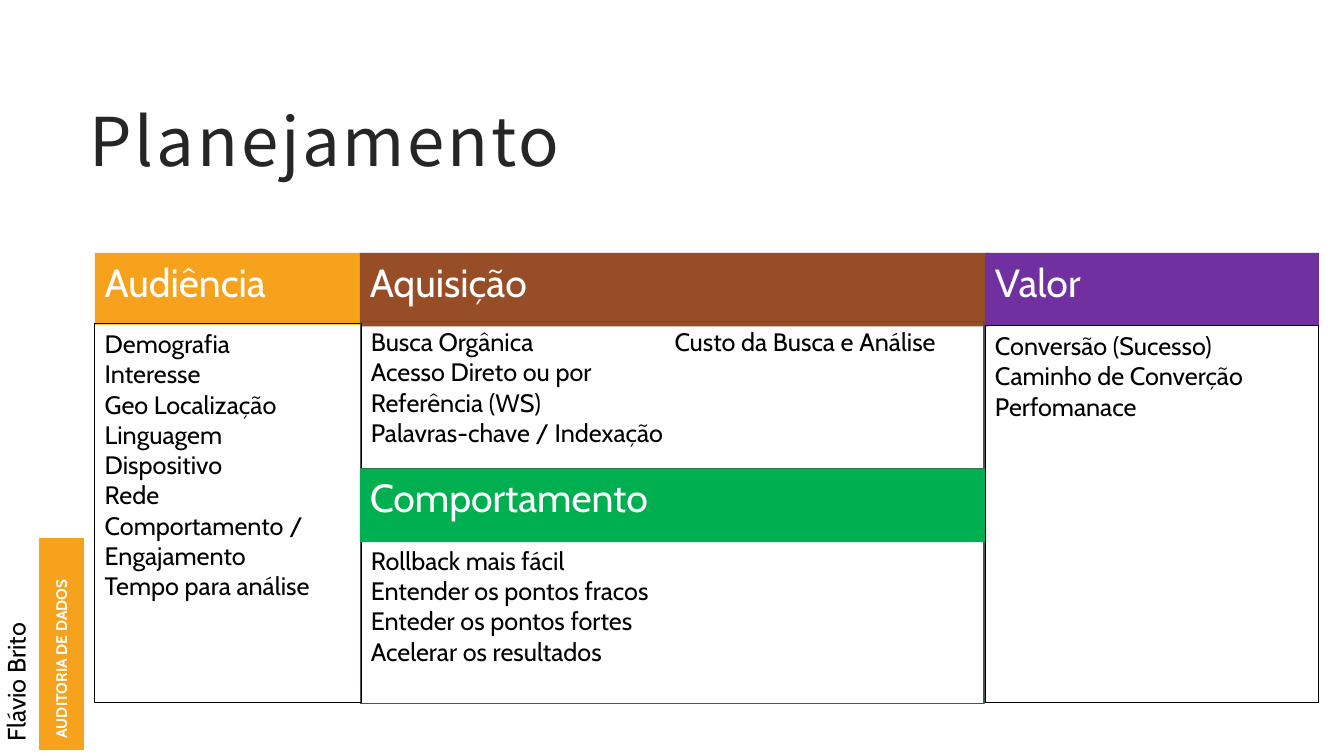
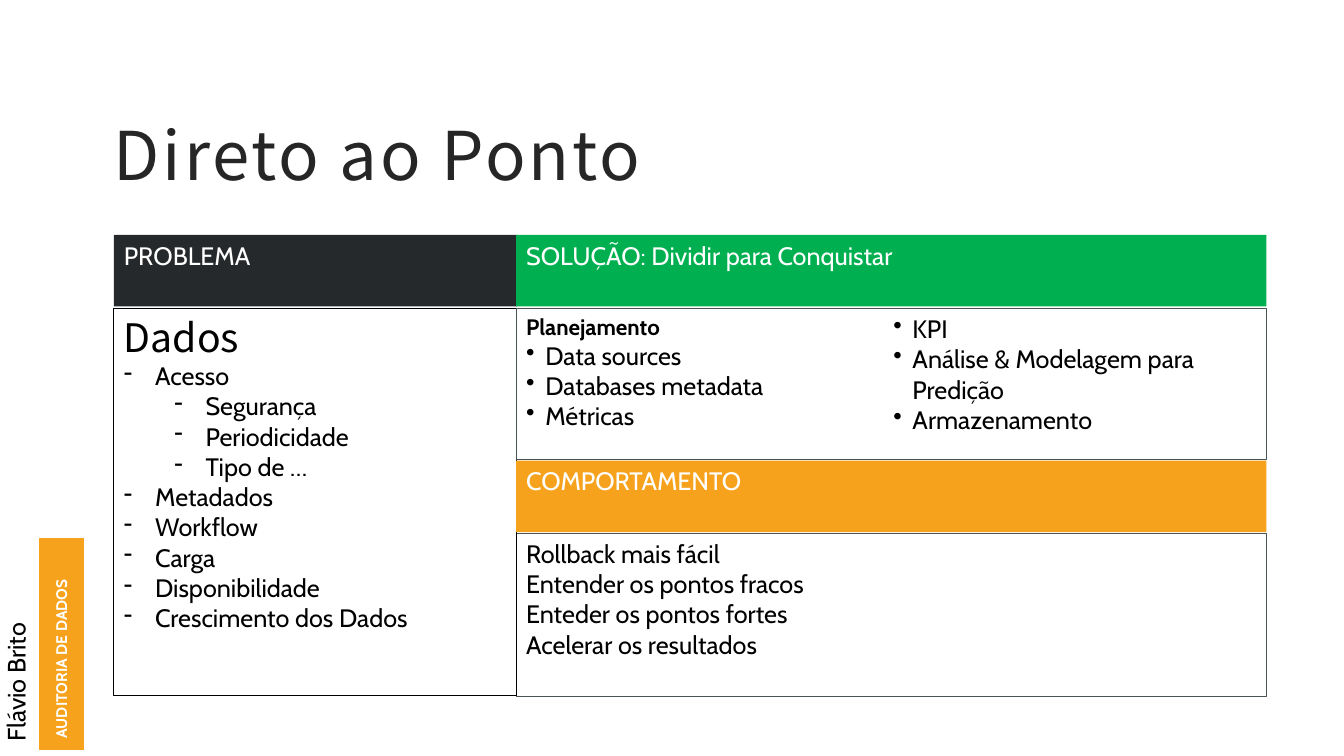
from dataclasses import dataclass

from lxml.etree import SubElement
from pptx import Presentation
from pptx.dml.color import RGBColor
from pptx.enum.shapes import MSO_SHAPE as Preset
from pptx.enum.text import MSO_ANCHOR as Anchor, MSO_AUTO_SIZE as AutoSize, PP_ALIGN as Align
from pptx.oxml.ns import qn
from pptx.util import Emu, Pt

EMU_PER_PX = 9144
COLORS = {
    "white": "FFFFFF",
    "black": "000000",
    "title": "262626",
    "slate": "4A5356",
    "dark": "25292B",
    "orange": "F6A21D",
    "brown": "974D25",
    "green": "00B050",
    "purple": "7030A0",
}
BODY_FONT = "Cabin"
TITLE_FONT = "Noto Sans CJK JP"
HANGING = {"-": 31, "•": 19}
LEVEL_INDENT = 50
BEHAVIOR = [
    "Rollback mais fácil",
    "Entender os pontos fracos",
    "Enteder os pontos fortes",
    "Acelerar os resultados",
]


@dataclass
class Item:
    text: str
    marker: str = ""
    level: int = 0
    size: int = 18
    font: str = BODY_FONT
    bold: bool = False


def px(value):
    return Emu(value * EMU_PER_PX)


def color(name):
    return RGBColor.from_string(COLORS[name])


class Deck:
    def __init__(self, width, height):
        self.presentation = Presentation()
        self.presentation.slide_width = px(width)
        self.presentation.slide_height = px(height)
        self.slide = None

    def new_slide(self, title, left, top):
        self.slide = self.presentation.slides.add_slide(self.presentation.slide_layouts[6])
        self.side_label("Flávio Brito", -78, 622, 197, 50)
        self.rectangle(38, 533, 46, 212, "orange", "white", 1)
        self.side_label("AUDITORIA DE DADOS", -51, 616, 224, 29, 11, "white", True)
        self.title(title, left, top)

    def fill_text(self, shape, items, ink):
        frame = shape.text_frame
        frame.word_wrap = True
        frame.auto_size = AutoSize.NONE
        frame.vertical_anchor = Anchor.TOP
        for index, item in enumerate(items):
            paragraph = frame.paragraphs[0] if index == 0 else frame.add_paragraph()
            paragraph.text = item.text
            paragraph.alignment = Align.LEFT
            paragraph.level = item.level
            if item.marker:
                self.bullet(paragraph, item)
            for run in paragraph.runs:
                run.font.name = item.font
                run.font.size = Pt(item.size)
                run.font.bold = item.bold
                run.font.color.rgb = color(ink)
        return frame

    def bullet(self, paragraph, item):
        hanging = HANGING[item.marker]
        properties = paragraph._p.get_or_add_pPr()
        properties.set("marL", str(px(hanging + item.level * LEVEL_INDENT)))
        properties.set("indent", str(-px(hanging)))
        SubElement(properties, qn("a:buChar")).set("char", item.marker)

    def side_label(self, text, left, top, width, height, size=18, ink="black", bold=False):
        box = self.slide.shapes.add_textbox(px(left), px(top), px(width), px(height))
        box.rotation = 270
        self.fill_text(box, [Item(text, size=size, bold=bold)], ink)

    def title(self, text, left, top):
        box = self.slide.shapes.add_textbox(px(left), px(top), px(1047), px(132))
        frame = self.fill_text(box, [Item(text, size=48, font=TITLE_FONT)], "title")
        frame.margin_left = frame.margin_right = px(20)
        frame.margin_top = frame.margin_bottom = px(20)
        frame.paragraphs[0].line_spacing = 0.9
        for properties in box.element.iter(qn("a:rPr")):
            properties.set("spc", "200")

    def rectangle(self, left, top, width, height, fill=None, line=None, weight=0.75):
        shape = self.slide.shapes.add_shape(
            Preset.RECTANGLE, px(left), px(top), px(width), px(height)
        )
        shape.shadow.inherit = False
        if fill:
            shape.fill.solid()
            shape.fill.fore_color.rgb = color(fill)
        else:
            shape.fill.background()
        if line:
            shape.line.color.rgb = color(line)
            shape.line.width = Pt(weight)
        else:
            shape.line.fill.background()
        return shape

    def header(self, text, left, top, width, height, fill, size=18):
        shape = self.rectangle(left, top, width, height, fill)
        self.fill_text(shape, [Item(text, size=size)], "white")

    def panel(self, items, left, top, width, height, line="black", columns=1):
        shape = self.rectangle(left, top, width, height, line=line)
        items = [Item(item) if isinstance(item, str) else item for item in items]
        self.fill_text(shape, items, "black")
        if columns > 1:
            body = next(shape.element.iter(qn("a:bodyPr")))
            body.set("numCol", str(columns))
            body.set("spcCol", str(px(4)))


def planning_slide(deck):
    deck.new_slide("Planejamento", 69, 88)
    audience = [
        "Demografia",
        "Interesse",
        "Geo Localização",
        "Linguagem",
        "Dispositivo",
        "Rede",
        "Comportamento / Engajamento",
        "Tempo para análise",
    ]
    acquisition = [
        "Busca Orgânica",
        "Acesso Direto ou por Referência (WS)",
        "Palavras-chave / Indexação",
        "Custo da Busca e Análise",
    ]
    value = ["Conversão (Sucesso)", "Caminho de Converção", "Perfomanace"]
    deck.header("Audiência", 94, 251, 265, 71, "orange", 28)
    deck.header("Aquisição", 357, 251, 624, 73, "brown", 28)
    deck.panel(BEHAVIOR, 358, 536, 618, 162, "slate")
    deck.panel(audience, 94, 321, 265, 376)
    deck.panel(acquisition, 358, 319, 618, 146, "slate", 2)
    deck.header("Comportamento", 357, 465, 620, 73, "green", 28)
    deck.header("Valor", 977, 251, 331, 72, "purple", 28)
    deck.panel(value, 977, 323, 331, 374)


def solution_slide(deck):
    deck.new_slide("Direto ao Ponto", 93, 101)
    data = [
        Item("Dados", size=28, font=TITLE_FONT),
        Item("Acesso", "-"),
        *[Item(text, "-", 1) for text in ("Segurança", "Periodicidade", "Tipo de …")],
        *[
            Item(text, "-")
            for text in (
                "Metadados",
                "Workflow",
                "Carga",
                "Disponibilidade",
                "Crescimento dos Dados",
            )
        ],
    ]
    planning = [
        Item("Planejamento", size=16, bold=True),
        *[
            Item(text, "•")
            for text in (
                "Data sources",
                "Databases metadata",
                "Métricas",
                "KPI",
                "Análise & Modelagem para Predição",
                "Armazenamento",
            )
        ],
    ]
    deck.header("PROBLEMA", 113, 233, 400, 71, "dark")
    deck.header("SOLUÇÃO: Dividir para Conquistar", 512, 233, 744, 71, "green")
    deck.panel(BEHAVIOR, 512, 529, 744, 162, "slate")
    deck.panel(data, 113, 306, 399, 384)
    deck.panel(planning, 512, 306, 744, 150, "slate", 2)
    deck.header("COMPORTAMENTO", 512, 457, 744, 71, "orange")


def main():
    deck = Deck(1333, 750)
    planning_slide(deck)
    solution_slide(deck)
    deck.presentation.save("out.pptx")


if __name__ == "__main__":
    main()
